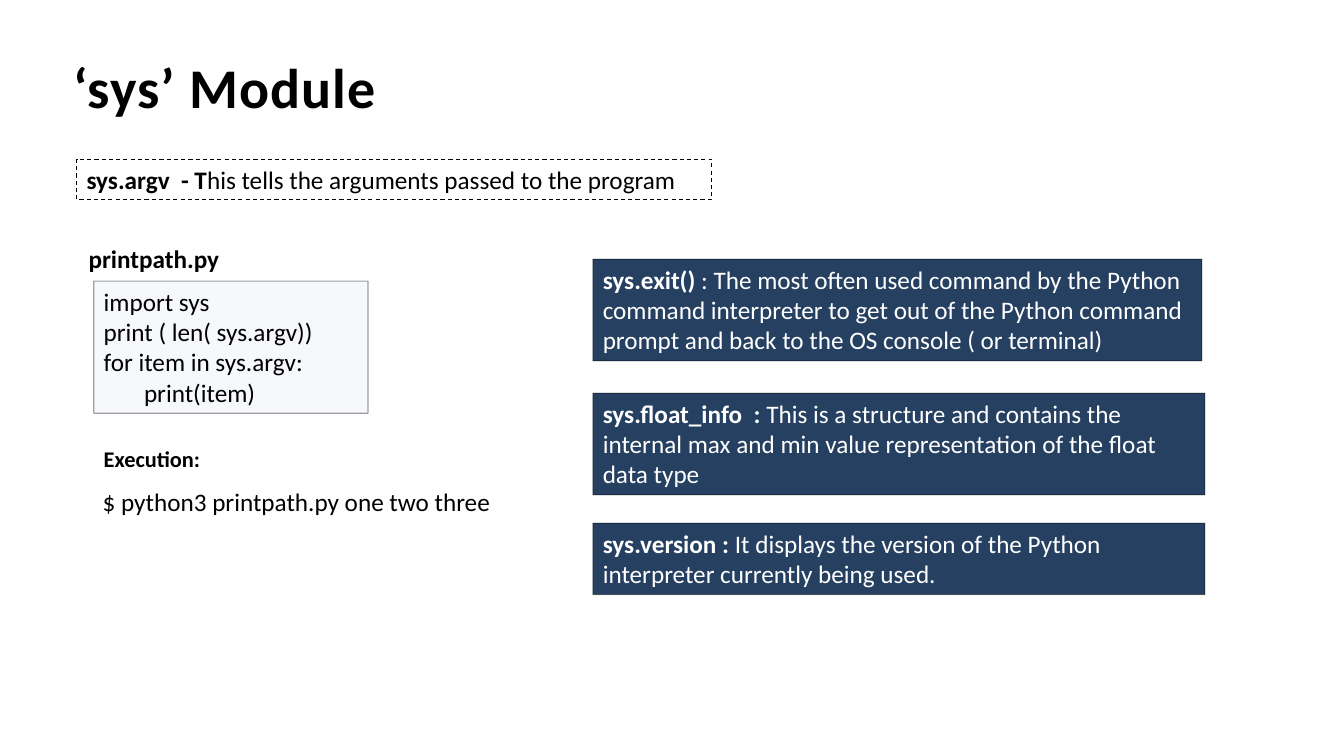
from pptx import Presentation
from pptx.dml.color import RGBColor
from pptx.enum.dml import MSO_LINE
from pptx.enum.shapes import MSO_SHAPE
from pptx.enum.text import MSO_ANCHOR, MSO_AUTO_SIZE, PP_ALIGN
from pptx.oxml.ns import qn
from pptx.util import Inches, Pt
from lxml import etree

RECT = MSO_SHAPE.RECTANGLE
DASH, SOLID = MSO_LINE.DASH, MSO_LINE.SOLID
TOP, LEFT = MSO_ANCHOR.TOP, PP_ALIGN.LEFT
GROW, FIXED = MSO_AUTO_SIZE.SHAPE_TO_FIT_TEXT, MSO_AUTO_SIZE.NONE

BLACK = RGBColor(0x00, 0x00, 0x00)
WHITE = RGBColor(0xFF, 0xFF, 0xFF)
NAVY = RGBColor(0x25, 0x40, 0x61)
PALE = RGBColor(0xDC, 0xE6, 0xF2)

# Grid of 100 columns by 100 rows
WIDTH, HEIGHT = Inches(13.33), Inches(7.5)
COL, ROW = WIDTH / 100, HEIGHT / 100
RIGHT = 44.11  # first column of the navy cards

FONT = {"name": "Calibri", "size": Pt(18), "bold": False}
FRAME = {"vertical_anchor": TOP, "word_wrap": True, "auto_size": GROW}
BARE = {"margin_left": 0, "margin_top": 0, "margin_right": 0,
        "margin_bottom": 0, "auto_size": FIXED}

# Navy cards: top row, columns wide, rows high, term, meaning
CARDS = [
    (34.27, 45.31, 13.47, "sys.exit() ",
     ": The most often used command by the Python command interpreter to get "
     "out of the Python command prompt and back to the OS console ( or terminal)"),
    (52, 45.54, 13.47, "sys.float_info  : ",
     "This is a structure and contains the internal max and min value "
     "representation of the float data type"),
    (69.2, 45.54, 9.47, "sys.version : ",
     "It displays the version of the Python interpreter currently being used."),
]

# Plain labels: column, row, columns wide, rows high, text, font
LABELS = [
    (5.85, 31.47, 11.33, 5.33, "printpath.py", {"bold": True}),
    (6.98, 58.27, 8.78, 4.93, "Execution:", {"bold": True, "size": Pt(16)}),
    (6.9, 63.73, 30.68, 5.33, "$ python3 printpath.py one two three", {}),
]


def apply(target, values):
    for name, value in values.items():
        setattr(target, name, value)


def place(col, row, wide, high):
    return [round(n) for n in (col * COL, row * ROW, wide * COL, high * ROW)]


def fade(fill, share):
    """Set the opacity, in percent, of a solid fill's colour."""
    color = fill.find(".//" + qn("a:srgbClr"))
    etree.SubElement(color, qn("a:alpha")).set("val", str(share * 1000))


def add_run(para, text, color=BLACK, **extra):
    run = para.add_run()
    run.text = text
    apply(run.font, {**FONT, **extra})
    run.font.color.rgb = color
    return run


def add_title(slide, text):
    title = slide.shapes.title
    box = place(5.48, 6.93, 87, 7.47)
    apply(title, dict(zip(("left", "top", "width", "height"), box)))
    apply(title.text_frame, {**FRAME, **BARE})
    para = title.text_frame.paragraphs[0]
    para.alignment = LEFT
    run = add_run(para, text, size=Pt(40), bold=True)
    run._r.get_or_add_rPr().set("spc", "70")


def add_label(slide, box, text, extra):
    label = slide.shapes.add_textbox(*place(*box))
    apply(label.text_frame, {**FRAME, "word_wrap": False})
    add_run(label.text_frame.paragraphs[0], text, **extra)


def add_box(slide, box, lines, fill=None, ink=BLACK, dash=SOLID):
    """Draw a framed box; each line is a list of (text, bold) pairs."""
    shape = slide.shapes.add_shape(RECT, *place(*box))
    shape.shadow.inherit = False
    if fill is None:
        shape.fill.background()
    else:
        shape.fill.solid()
        shape.fill.fore_color.rgb = fill
    shape.line.color.rgb = BLACK
    apply(shape.line, {"width": Pt(0.75), "dash_style": dash})
    frame = shape.text_frame
    apply(frame, FRAME)
    for i, line in enumerate(lines):
        para = frame.add_paragraph() if i else frame.paragraphs[0]
        para.alignment = LEFT
        for text, bold in line:
            add_run(para, text, ink, bold=bold)
    if dash == SOLID:
        fade(shape.line._ln, 37)
    return shape


def add_code(slide, box, lines):
    """Draw a pale code box whose last line is indented."""
    shape = add_box(slide, box, [[(line, False)] for line in lines], PALE)
    fade(shape._element.spPr.find(qn("a:solidFill")), 25)
    last = shape.text_frame.paragraphs[-1]
    last._p.get_or_add_pPr().set("marL", str(Inches(0.4)))


def main():
    deck = Presentation()
    apply(deck, {"slide_width": WIDTH, "slide_height": HEIGHT})
    slide = deck.slides.add_slide(deck.slide_layouts[5])

    # Heading and lead definition
    add_title(slide, "‘sys’ Module")
    lead = [("sys.argv  - T", True),
            ("his tells the arguments passed to the program", False)]
    add_box(slide, (5.7, 21.07, 47.26, 5.33), [lead], dash=DASH)

    # Left: script and how to run it
    add_code(slide, (6.98, 37.2, 20.41, 17.47),
             ["import sys", "print ( len( sys.argv))",
              "for item in sys.argv:", "print(item)"])
    for *box, text, extra in LABELS:
        add_label(slide, box, text, extra)

    # Right: other members of the module
    for row, wide, high, term, text in CARDS:
        add_box(slide, (RIGHT, row, wide, high),
                [[(term, True), (text, False)]], NAVY, WHITE)

    deck.save("out.pptx")


if __name__ == "__main__":
    main()
